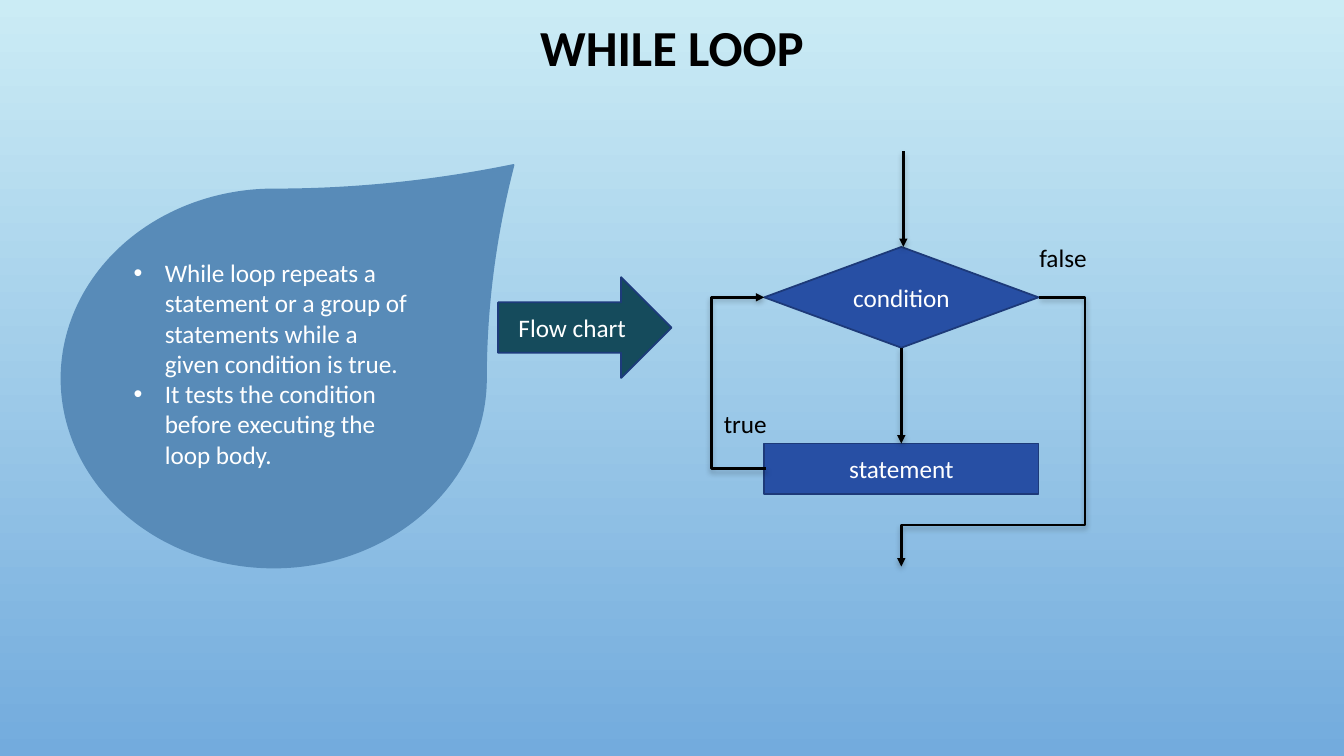
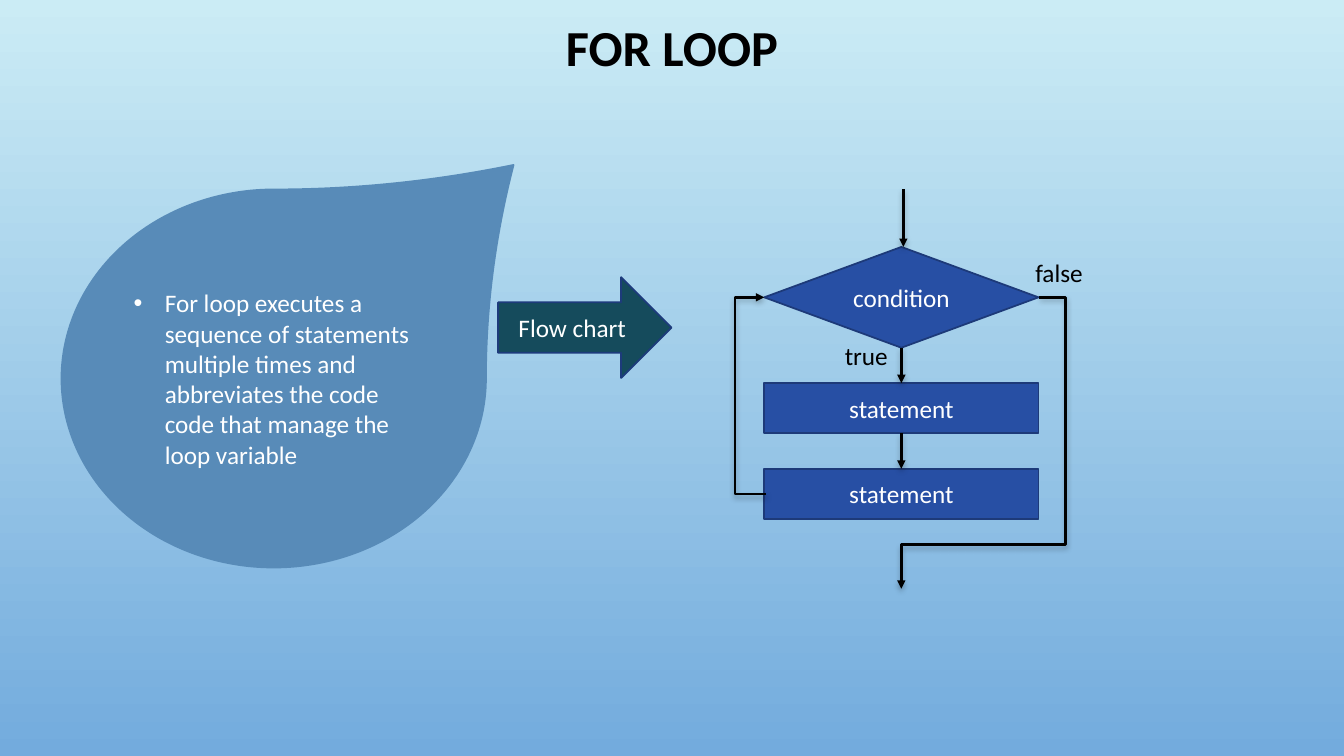
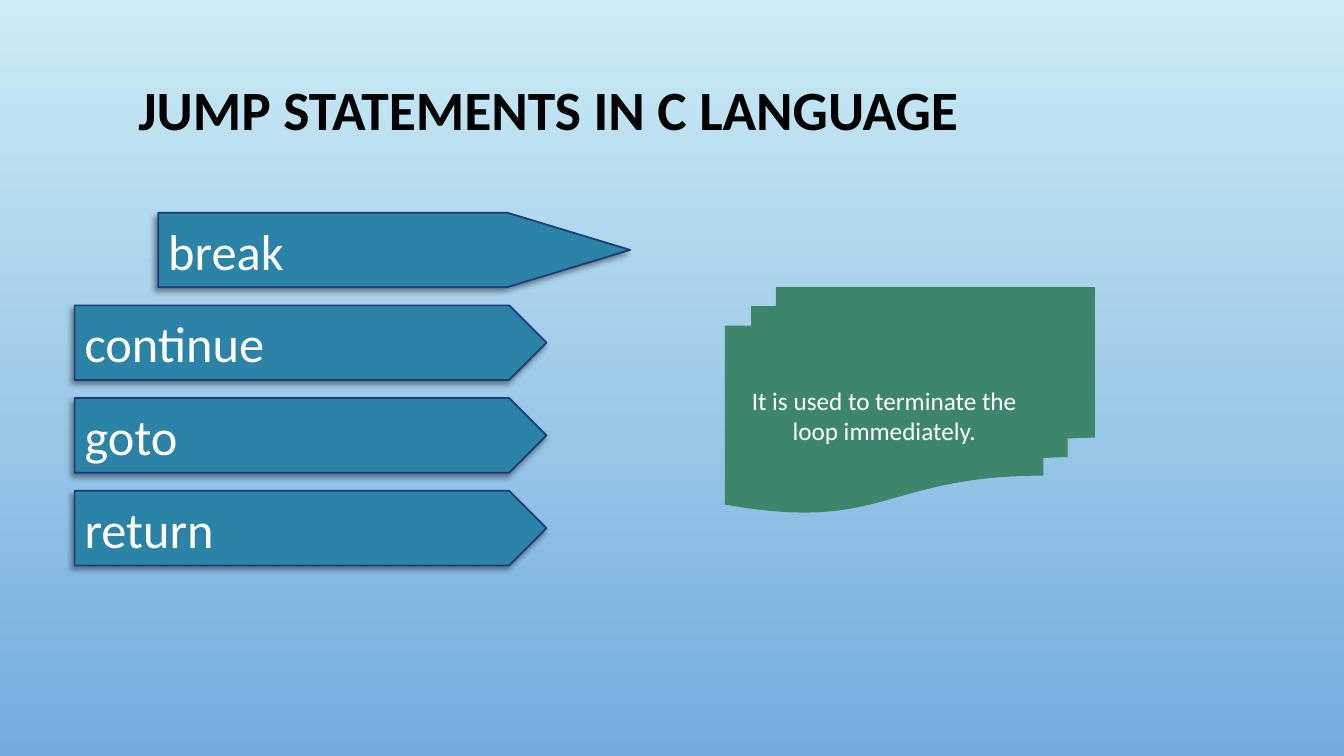
from dataclasses import dataclass
from typing import Any, NamedTuple, Optional

from lxml.etree import SubElement
from pptx import Presentation
from pptx.dml.color import RGBColor
from pptx.enum.shapes import MSO_CONNECTOR as Link, MSO_SHAPE as Preset
from pptx.enum.text import MSO_ANCHOR as Anchor, MSO_AUTO_SIZE as AutoSize, PP_ALIGN as Align
from pptx.oxml.ns import qn
from pptx.util import Inches, Pt

FONT = "Calibri"
BLACK, WHITE = "000000", "FFFFFF"
SKY = ("CBECF5", "73ABDD")
DROP_FILL, ARROW_FILL, STEP_FILL = "588BB8", "154B5C", "274FA4"
JUMP_FILL, NOTE_FILL = "2B83A7", "3D866C"
ARROW_EDGE, STEP_EDGE = "1D3B7B", "1D3A79"

STEP_LEFT, STEP_WIDTH, STEP_HEIGHT = 7.58, 2.72, 0.5
CONDITION_TOP, CONDITION_HEIGHT = 2.45, 1
CONDITION_MIDDLE = CONDITION_TOP + CONDITION_HEIGHT / 2
AXIS = STEP_LEFT + STEP_WIDTH / 2


class Box(NamedTuple):
    left: float
    top: float
    width: float
    height: float


class Point(NamedTuple):
    x: float
    y: float


class Shadow(NamedTuple):
    alpha: int
    blur: float
    distance: float
    angle: int


LINE_SHADOW = Shadow(28, 4, 2, 90)
JUMP_SHADOW = Shadow(40, 4, 3, 135)


@dataclass(frozen=True)
class Style:
    preset: Preset
    fill: str
    edge: Optional[str] = None
    size: float = 18
    align: Align = Align.CENTER
    shadow: Optional[Shadow] = None


DROP = Style(Preset.TEAR, DROP_FILL, DROP_FILL, align=Align.LEFT)
ARROW = Style(Preset.RIGHT_ARROW, ARROW_FILL, ARROW_EDGE)
CONDITION = Style(Preset.FLOWCHART_DECISION, STEP_FILL, STEP_EDGE)
STATEMENT = Style(Preset.RECTANGLE, STEP_FILL, STEP_EDGE)
JUMP = Style(Preset.PENTAGON, JUMP_FILL, STEP_EDGE, 36, Align.LEFT, JUMP_SHADOW)
NOTE = Style(Preset.FLOWCHART_MULTIDOCUMENT, NOTE_FILL)


@dataclass(frozen=True)
class Loop:
    title: str
    points: tuple[str, ...]
    bottom_inset: float
    entry_top: float
    statement_tops: tuple[float, ...]
    back_x: float
    exit_turn: Point
    exit_end: float
    false_at: Point
    true_at: Point


LOOPS = (
    Loop("WHILE LOOP",
         ("While loop repeats a statement or a group of statements while a given condition is true.",
          "It tests the condition before executing the loop body."),
         0.35, 1.5, (4.4,), 7.06, Point(10.76, 5.21), 5.62,
         Point(10.21, 2.35), Point(7.08, 4)),
    Loop("FOR LOOP",
         ("For loop executes a sequence of statements multiple times and abbreviates the code "
          "code that manage the loop variable",),
         0.05, 1.88, (3.8, 4.65), 7.29, Point(10.57, 5.4), 5.84,
         Point(10.17, 2.5), Point(8.28, 3.33)),
)


def color(value: str) -> RGBColor:
    return RGBColor.from_string(value)


def assign(target: Any, values: dict[str, Any]) -> None:
    for name, value in values.items():
        setattr(target, name, value)


def write(frame: Any, texts: tuple[str, ...], size: float, ink: str,
          align: Align, bold: bool = False) -> None:
    for index, text in enumerate(texts):
        para = frame.paragraphs[0] if index == 0 else frame.add_paragraph()
        para.alignment = align
        span = para.add_run()
        span.text = text
        assign(span.font, {"name": FONT, "size": Pt(size), "bold": bold})
        span.font.color.rgb = color(ink)


def add_shadow(effects: Any, shadow: Shadow) -> None:
    outer = SubElement(effects, qn("a:outerShdw"), {
        "blurRad": str(Pt(shadow.blur)), "dist": str(Pt(shadow.distance)),
        "dir": str(shadow.angle * 60000), "rotWithShape": "0"})
    tint = SubElement(outer, qn("a:srgbClr"), val=BLACK)
    SubElement(tint, qn("a:alpha"), val=str(shadow.alpha * 1000))


def add_figure(page: Any, style: Style, box: Box, *texts: str,
               adjust: Optional[float] = None) -> Any:
    shape = page.shapes.add_shape(style.preset, *map(Inches, box))
    shape.shadow.inherit = False
    shape.fill.solid()
    shape.fill.fore_color.rgb = color(style.fill)
    if style.edge:
        shape.line.color.rgb = color(style.edge)
        shape.line.width = Pt(1.25)
    else:
        shape.line.fill.background()
    if style.shadow:
        add_shadow(shape.element.spPr.find(qn("a:effectLst")), style.shadow)
    if adjust is not None:
        shape.adjustments[0] = adjust
    assign(shape.text_frame, {"word_wrap": True, "vertical_anchor": Anchor.MIDDLE})
    write(shape.text_frame, texts, style.size, WHITE, style.align)
    return shape


def add_title(page: Any, text: str, box: Box, size: float) -> None:
    frame = page.shapes.add_textbox(*map(Inches, box)).text_frame
    assign(frame, {"word_wrap": True, "vertical_anchor": Anchor.MIDDLE})
    write(frame, (text,), size, BLACK, Align.CENTER, True)
    frame.paragraphs[0].line_spacing = 0.9


def add_label(page: Any, text: str, at: Point, width: float) -> None:
    frame = page.shapes.add_textbox(*map(Inches, (*at, width, 0.4))).text_frame
    assign(frame, {"word_wrap": False, "auto_size": AutoSize.SHAPE_TO_FIT_TEXT})
    write(frame, (text,), 18, BLACK, Align.LEFT)


def add_bullets(frame: Any) -> None:
    for para in frame.paragraphs:
        properties = para._p.get_or_add_pPr()
        assign_indent = {"marL": Inches(0.31), "indent": Inches(-0.31)}
        for name, value in assign_indent.items():
            properties.set(name, str(value))
        SubElement(properties, qn("a:buFont"), typeface="Arial")
        SubElement(properties, qn("a:buChar"), char="•")


def add_arrow(page: Any, start: Point, end: Point, turn_x: Optional[float] = None,
              turn_y: Optional[float] = None) -> None:
    kind = Link.STRAIGHT if turn_x is None else Link.ELBOW
    arrow = page.shapes.add_connector(kind, *map(Inches, (*start, *end)))
    arrow.line.color.rgb = color(BLACK)
    arrow.line.width = Pt(1.75)
    properties = arrow.element.spPr
    SubElement(properties.find(qn("a:ln")), qn("a:tailEnd"), type="triangle")
    add_shadow(SubElement(properties, qn("a:effectLst")), LINE_SHADOW)
    if turn_x is None:
        return
    ratios = [(turn_x - start.x) / (end.x - start.x)]
    if turn_y is not None:
        ratios.append((turn_y - start.y) / (end.y - start.y))
    geometry = properties.find(qn("a:prstGeom"))
    geometry.set("prst", f"bentConnector{len(ratios) + 2}")
    guides = geometry.find(qn("a:avLst"))
    for number, ratio in enumerate(ratios, 1):
        SubElement(guides, qn("a:gd"), name=f"adj{number}", fmla=f"val {round(ratio * 100000)}")


def add_flow(page: Any, loop: Loop) -> None:
    condition = Box(STEP_LEFT, CONDITION_TOP, STEP_WIDTH, CONDITION_HEIGHT)
    add_figure(page, CONDITION, condition, "condition")
    add_arrow(page, Point(AXIS + 0.02, loop.entry_top), Point(AXIS + 0.02, CONDITION_TOP))
    above = CONDITION_TOP + CONDITION_HEIGHT
    for top in loop.statement_tops:
        add_figure(page, STATEMENT, Box(STEP_LEFT, top, STEP_WIDTH, STEP_HEIGHT), "statement")
        add_arrow(page, Point(AXIS, above), Point(AXIS, top))
        above = top + STEP_HEIGHT
    add_arrow(page, Point(STEP_LEFT + 0.02, above - STEP_HEIGHT / 2),
              Point(STEP_LEFT, CONDITION_MIDDLE), loop.back_x)
    add_arrow(page, Point(STEP_LEFT + STEP_WIDTH + 0.01, CONDITION_MIDDLE),
              Point(AXIS, loop.exit_end), *loop.exit_turn)
    add_label(page, "false", loop.false_at, 0.77)
    add_label(page, "true", loop.true_at, 0.68)


def add_loop_page(page: Any, loop: Loop) -> None:
    add_title(page, loop.title, Box(2, 0, 9.33, 1), 36)
    drop = add_figure(page, DROP, Box(0.61, 1.88, 4.21, 3.75), *loop.points, adjust=1.13)
    drop.text_frame.margin_bottom = Inches(loop.bottom_inset)
    add_bullets(drop.text_frame)
    add_figure(page, ARROW, Box(4.94, 2.75, 1.72, 1), "Flow chart")
    add_flow(page, loop)


def add_jump_page(page: Any) -> None:
    add_title(page, "JUMP STATEMENTS IN C LANGUAGE", Box(0.74, 0.67, 9.4, 0.89), 39.6)
    for row, word in enumerate(("break", "continue", "goto", "return")):
        left, point = (1.57, 1.65) if row == 0 else (0.74, 0.5)
        add_figure(page, JUMP, Box(left, 2.11 + 0.92 * row, 4.68, 0.74), word, adjust=point)
    add_figure(page, NOTE, Box(7.19, 2.85, 3.67, 2.24),
               "It is used to terminate the loop immediately.")


def main() -> None:
    deck = Presentation()
    assign(deck, {"slide_width": Inches(13.33), "slide_height": Inches(7.5)})
    backdrop = deck.slide_master.background.fill
    backdrop.gradient()
    backdrop.gradient_angle = 270
    for stop, shade in zip(backdrop.gradient_stops, SKY):
        stop.color.rgb = color(shade)
    blank = deck.slide_layouts[6]
    for loop in LOOPS:
        add_loop_page(deck.slides.add_slide(blank), loop)
    add_jump_page(deck.slides.add_slide(blank))
    deck.save("out.pptx")


if __name__ == "__main__":
    main()
